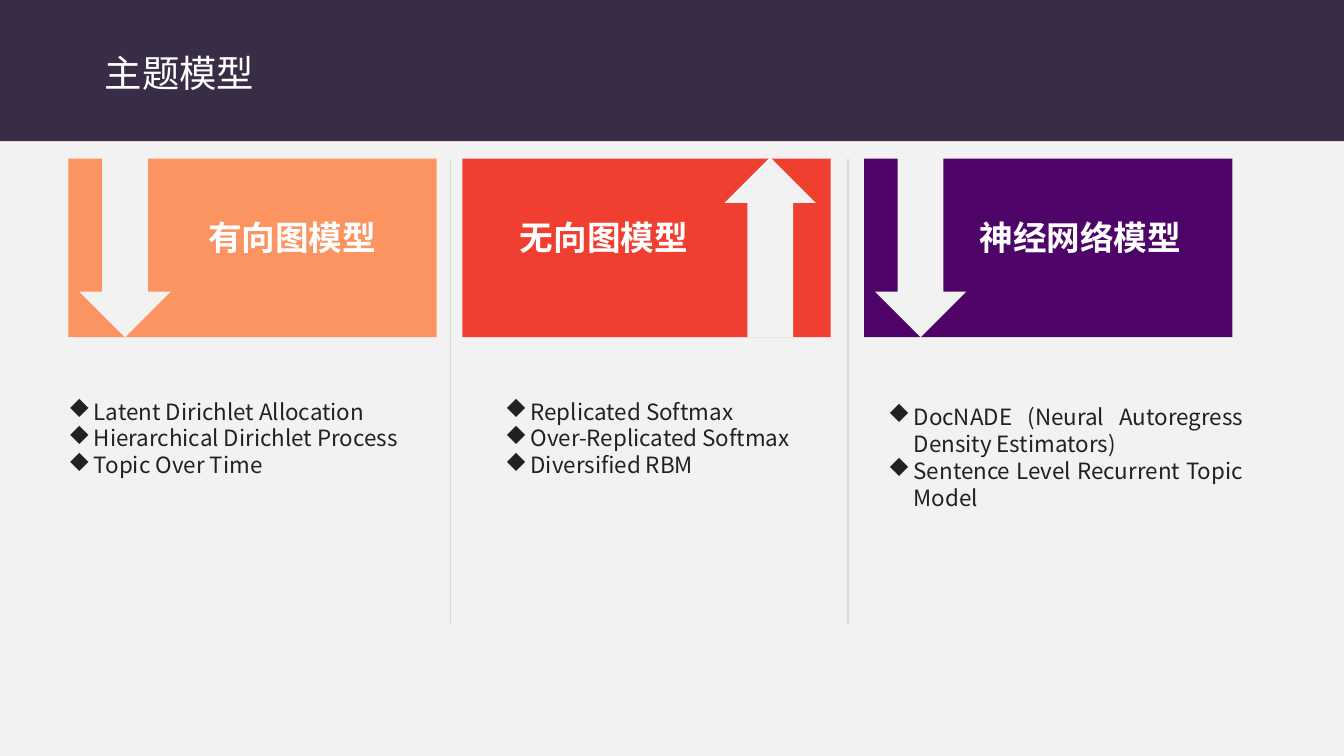
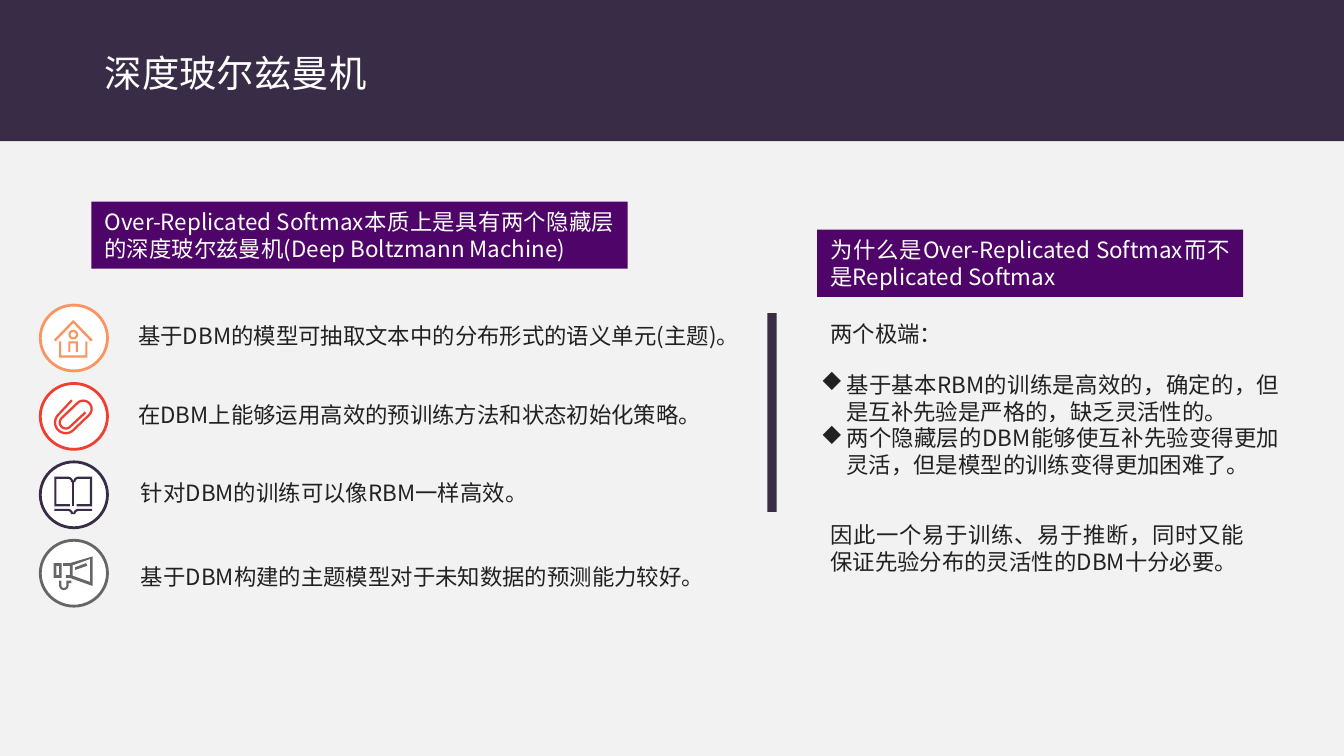
from math import cos, hypot, radians, sin

from lxml import etree
from pptx import Presentation
from pptx.dml.color import RGBColor
from pptx.enum.shapes import MSO_CONNECTOR, MSO_SHAPE
from pptx.enum.text import MSO_ANCHOR, MSO_AUTO_SIZE, PP_ALIGN
from pptx.oxml.ns import qn
from pptx.util import Emu, Inches, Pt

RECT, OVAL, DOWN_ARROW = MSO_SHAPE.RECTANGLE, MSO_SHAPE.OVAL, MSO_SHAPE.DOWN_ARROW
STRAIGHT = MSO_CONNECTOR.STRAIGHT
TOP, MIDDLE = MSO_ANCHOR.TOP, MSO_ANCHOR.MIDDLE
LEFT, JUSTIFY = PP_ALIGN.LEFT, PP_ALIGN.JUSTIFY
GROW = MSO_AUTO_SIZE.SHAPE_TO_FIT_TEXT

PAPER = RGBColor(0xF2, 0xF2, 0xF2)
NIGHT = RGBColor(0x39, 0x2C, 0x47)
ORANGE = RGBColor(0xFB, 0x94, 0x60)
RED = RGBColor(0xF0, 0x3F, 0x30)
PURPLE = RGBColor(0x4E, 0x04, 0x68)
GREY = RGBColor(0x66, 0x66, 0x66)
RULE = RGBColor(0xD9, 0xD9, 0xD9)
INK = RGBColor(0x21, 0x21, 0x21)
WHITE = RGBColor(0xFF, 0xFF, 0xFF)
TITLE_FONT, BODY_FONT = "Quicksand", "Noto Sans CJK SC"
BULLET_FONT, DIAMOND = "Wingdings", "u"
BULLET_INDENT = Inches(0.19)


def add_block(slide, kind, box, fill, line=None):
    sp = slide.shapes.add_shape(kind, *map(Inches, box))
    sp.shadow.inherit = False
    sp.fill.solid()
    sp.fill.fore_color.rgb = fill
    if line is None:
        sp.line.fill.background()
    else:
        sp.line.color.rgb = line
        sp.line.width = Pt(1.5)
    return sp


def set_bullet(p):
    pPr = p._p.get_or_add_pPr()
    pPr.set("marL", str(BULLET_INDENT))
    pPr.set("indent", str(-BULLET_INDENT))
    font = etree.SubElement(pPr, qn("a:buFont"))
    font.set("typeface", BULLET_FONT)
    font.set("charset", "2")
    etree.SubElement(pPr, qn("a:buChar")).set("char", DIAMOND)


def write(tf, texts, color=INK, size=12, bold=False, bullets=False, spacing=None, anchor=TOP):
    """Fill a text frame with one justified paragraph per text."""
    tf.word_wrap = True
    tf.auto_size = GROW
    tf.vertical_anchor = anchor
    for i, text in enumerate(texts):
        p = tf.add_paragraph() if i else tf.paragraphs[0]
        p.alignment = JUSTIFY
        if spacing:
            p.line_spacing = spacing
        if bullets:
            set_bullet(p)
        r = p.add_run()
        r.text = text
        r.font.size = Pt(size)
        r.font.bold = bold
        r.font.color.rgb = color
        r.font.name = BODY_FONT
        etree.SubElement(r._r.get_or_add_rPr(), qn("a:ea")).set("typeface", BODY_FONT)


def add_text(slide, box, texts, **style):
    write(slide.shapes.add_textbox(*map(Inches, box)).text_frame, texts, **style)


def add_callout(slide, box, text):
    write(add_block(slide, RECT, box, PURPLE).text_frame, [text], color=WHITE)


def add_divider(slide, x, top, bottom):
    line = slide.shapes.add_connector(STRAIGHT, *map(Inches, (x, top, x, bottom)))
    line.line.color.rgb = RULE
    line.line.width = Pt(0.75)
    etree.SubElement(line._element.spPr, qn("a:effectLst"))


def new_slide(prs, title, title_width):
    """Add a slide with the shared background, band and title."""
    slide = prs.slides.add_slide(prs.slide_layouts[5])
    slide.background.fill.solid()
    slide.background.fill.fore_color.rgb = PAPER
    add_block(slide, RECT, (0, 0, 10, 1.05), NIGHT)
    sp = slide.shapes.title
    slide.shapes._spTree.append(sp._element)
    sp.left, sp.top, sp.width, sp.height = map(Inches, (0.68, 0.32, title_width, 0.44))
    tf = sp.text_frame
    tf.word_wrap = False
    tf.auto_size = GROW
    tf.vertical_anchor = TOP
    p = tf.paragraphs[0]
    p.alignment = LEFT
    r = p.add_run()
    r.text = title
    r.font.size = Pt(20)
    r.font.name = TITLE_FONT
    r.font.color.rgb = WHITE
    return slide


# Icon outlines: hundredths of an inch from the top left of the badge.

def arc(cx, cy, r, start, end, steps=16):
    angles = [radians(start + (end - start) * i / steps) for i in range(steps + 1)]
    return [(cx + r * cos(a), cy + r * sin(a)) for a in angles]


def ribbon(spine, width):
    """Return the outline of a band that follows the spine."""
    sides = [], []
    for i, (x, y) in enumerate(spine):
        (x0, y0), (x1, y1) = spine[max(i - 1, 0)], spine[min(i + 1, len(spine) - 1)]
        k = width / 2 / hypot(x1 - x0, y1 - y0)
        dx, dy = (y0 - y1) * k, (x1 - x0) * k
        sides[0].append((x + dx, y + dy))
        sides[1].append((x - dx, y - dy))
    return sides[0] + sides[1][::-1]


def house_parts():
    walls = [(35, 39), (14, 39), (14, 27), (15.5, 27), (15.5, 37.5),
             (33.5, 37.5), (33.5, 27), (35, 27)]
    roof = [(37.5, 27), (24.5, 13.5), (11.5, 27), (10, 26), (24.5, 11), (39, 26)]
    door = [(28, 35), (26.5, 35), (26.5, 28.5), (22.5, 28.5), (22.5, 35),
            (21, 35), (21, 27), (28, 27)]
    window = [arc(24.5, 22, r, 0, 360) for r in (3.6, 2)]
    return [[walls], [roof], [door], window]


def paperclip_parts():
    spine = [(23.5, 12.5), *arc(19, 29, 8, 225, 45), *arc(32, 19, 6.2, 45, -135),
             *arc(19, 29, 4.5, 225, 45), (33.7, 21.5)]
    return [[ribbon(spine, 1.7)]]


def book_parts():
    def curl(y):
        return arc(20.5, y, 4, -90, 0) + arc(20.5, y, 2.4, 0, -90)

    page = [(22, 33), (10.5, 33), (10.5, 11), *curl(15), (12, 12.6), (12, 31.4), (22, 31.4)]
    foot = [(10.5, 35), *curl(39), (10.5, 36.6)]
    fold = [(23.7, 15), (25.3, 15), (25.3, 33), (23.7, 33)]
    mirrored = [[(49 - x, y) for x, y in half] for half in (page, foot)]
    return [[part] for part in (page, foot, *mirrored, fold)]


def megaphone_parts():
    neck = [(24, 28), (19, 28), (19, 26), (22, 26), (22, 19), (17, 19), (17, 17), (24, 17)]
    horn = [(39, 34), (22, 28), (23, 26), (37, 31), (37, 14), (23, 19), (22, 17), (39, 12)]
    glint = [(26, 22), (26, 20), (34, 17), (35, 19)]
    box = [(10, 28), (10, 17), (16, 17), (16, 28)]
    hole = [(12, 26), (14, 26), (14, 19), (12, 19)]
    handle = [(14, 30), *arc(17.5, 33.6, 3.5, 180, 0), (21, 32), (23, 32), (23, 30),
              (19.4, 30), *arc(17.5, 33.6, 1.9, 0, 180), (15.6, 30)]
    return [[neck], [horn], [glint], [box, hole], [handle]]


def add_icon(slide, left, top, parts, color):
    def place(point):
        return Inches(left + point[0] / 100), Inches(top + point[1] / 100)

    shapes = []
    for outlines in parts:
        first, *others = [[place(pt) for pt in outline] for outline in outlines]
        builder = slide.shapes.build_freeform(*first[0])
        builder.add_line_segments(first[1:])
        for outline in others:
            builder.move_to(*outline[0])
            builder.add_line_segments(outline[1:])
        sp = builder.convert_to_shape(Emu(0), Emu(0))
        sp.shadow.inherit = False
        sp.fill.solid()
        sp.fill.fore_color.rgb = color
        sp.line.fill.background()
        shapes.append(sp)
    if len(shapes) > 1:
        slide.shapes.add_group_shape(shapes)


def add_badge(slide, left, top, parts, color):
    add_block(slide, OVAL, (left, top, 0.5, 0.49), WHITE, color)
    add_icon(slide, left, top, parts, color)


def add_model_card(slide, left, color, label, label_dx, label_width, arrow_dx, rotation=0):
    top = 1.18
    add_block(slide, RECT, (left, top, 2.74, 1.33), color)
    arrow = add_block(slide, DOWN_ARROW, (left + arrow_dx, top - 0.01, 0.68, 1.34), PAPER)
    arrow.rotation = rotation
    add_text(slide, (left + label_dx, top + 0.23, label_width, 0.56), [label],
             color=WHITE, size=18, bold=True, spacing=1.5, anchor=MIDDLE)


def build_topic_models(prs):
    slide = new_slide(prs, "主题模型", 1.32)
    add_model_card(slide, 0.51, ORANGE, "有向图模型", 0.94, 1.62, 0.08)
    add_model_card(slide, 3.44, RED, "无向图模型", 0.33, 1.62, 1.95, rotation=180)
    add_model_card(slide, 6.43, PURPLE, "神经网络模型", 0.76, 1.8, 0.08)
    for x in (3.35, 6.31):
        add_divider(slide, x, 1.18, 4.64)
    model_lists = [
        ((0.41, 2.91, 2.74, 0.71), ["Latent Dirichlet Allocation",
                                    "Hierarchical Dirichlet Process", "Topic Over Time"]),
        ((3.66, 2.91, 2.4, 0.71), ["Replicated Softmax", "Over-Replicated Softmax",
                                   "Diversified RBM"]),
        ((6.51, 2.95, 2.84, 0.91), ["DocNADE (Neural Autoregress Density Estimators)",
                                    "Sentence Level Recurrent Topic Model"]),
    ]
    for box, models in model_lists:
        add_text(slide, box, models, bullets=True)


def add_advantages(slide, left, top):
    """Place the callout and the four points with badges."""
    add_callout(slide, (left + 0.38, top, 3.99, 0.5),
                "Over-Replicated Softmax本质上是具有两个隐藏层的深度玻尔兹曼机"
                "(Deep Boltzmann Machine)")
    points = [
        (house_parts(), ORANGE, 0.63, 0.08, 4.77,
         "基于DBM的模型可抽取文本中的分布形式的语义单元(主题)。"),
        (paperclip_parts(), RED, 0.63, 0.08, 4.43,
         "在DBM上能够运用高效的预训练方法和状态初始化策略。"),
        (book_parts(), NIGHT, 0.65, 0.08, 3.26, "针对DBM的训练可以像RBM一样高效。"),
        (megaphone_parts(), GREY, 0.65, 0.12, 4.41,
         "基于DBM构建的主题模型对于未知数据的预测能力较好。"),
    ]
    for i, (parts, color, dx, dy, width, text) in enumerate(points):
        y = top + 0.77 + i * 1.75 / 3
        add_badge(slide, left, y, parts, color)
        add_text(slide, (left + dx, y + dy, width, 0.3), [text])


def add_reasons(slide, left, top):
    add_callout(slide, (left, top, 3.17, 0.5),
                "为什么是Over-Replicated Softmax而不是Replicated Softmax")
    add_text(slide, (left, top + 0.62, 3.28, 0.3), ["两个极端："])
    add_text(slide, (left - 0.07, top + 1, 3.61, 0.91), [
        "基于基本RBM的训练是高效的，确定的，但是互补先验是严格的，缺乏灵活性的。",
        "两个隐藏层的DBM能够使互补先验变得更加灵活，但是模型的训练变得更加困难了。",
    ], bullets=True)
    add_text(slide, (left, top + 2.12, 3.28, 0.5),
             ["因此一个易于训练、易于推断，同时又能保证先验分布的灵活性的DBM十分必要。"])


def build_boltzmann(prs):
    slide = new_slide(prs, "深度玻尔兹曼机", 2.17)
    add_advantages(slide, 0.3, 1.5)
    add_block(slide, RECT, (5.71, 2.33, 0.07, 1.48), NIGHT)
    add_reasons(slide, 6.08, 1.71)


def main():
    prs = Presentation()
    prs.slide_width = Inches(10)
    prs.slide_height = prs.slide_width * 9 // 16
    build_topic_models(prs)
    build_boltzmann(prs)
    prs.save("out.pptx")


if __name__ == "__main__":
    main()
